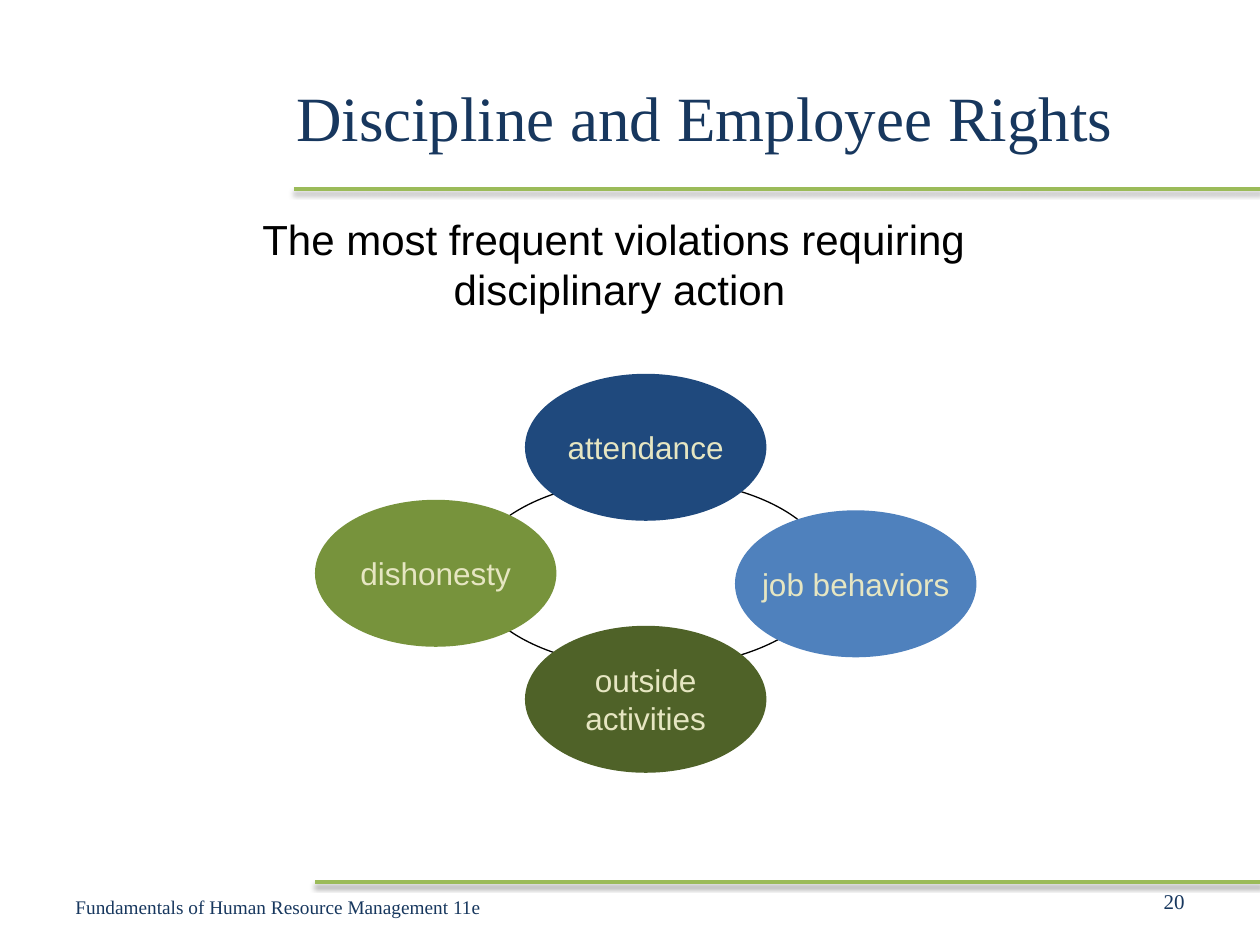
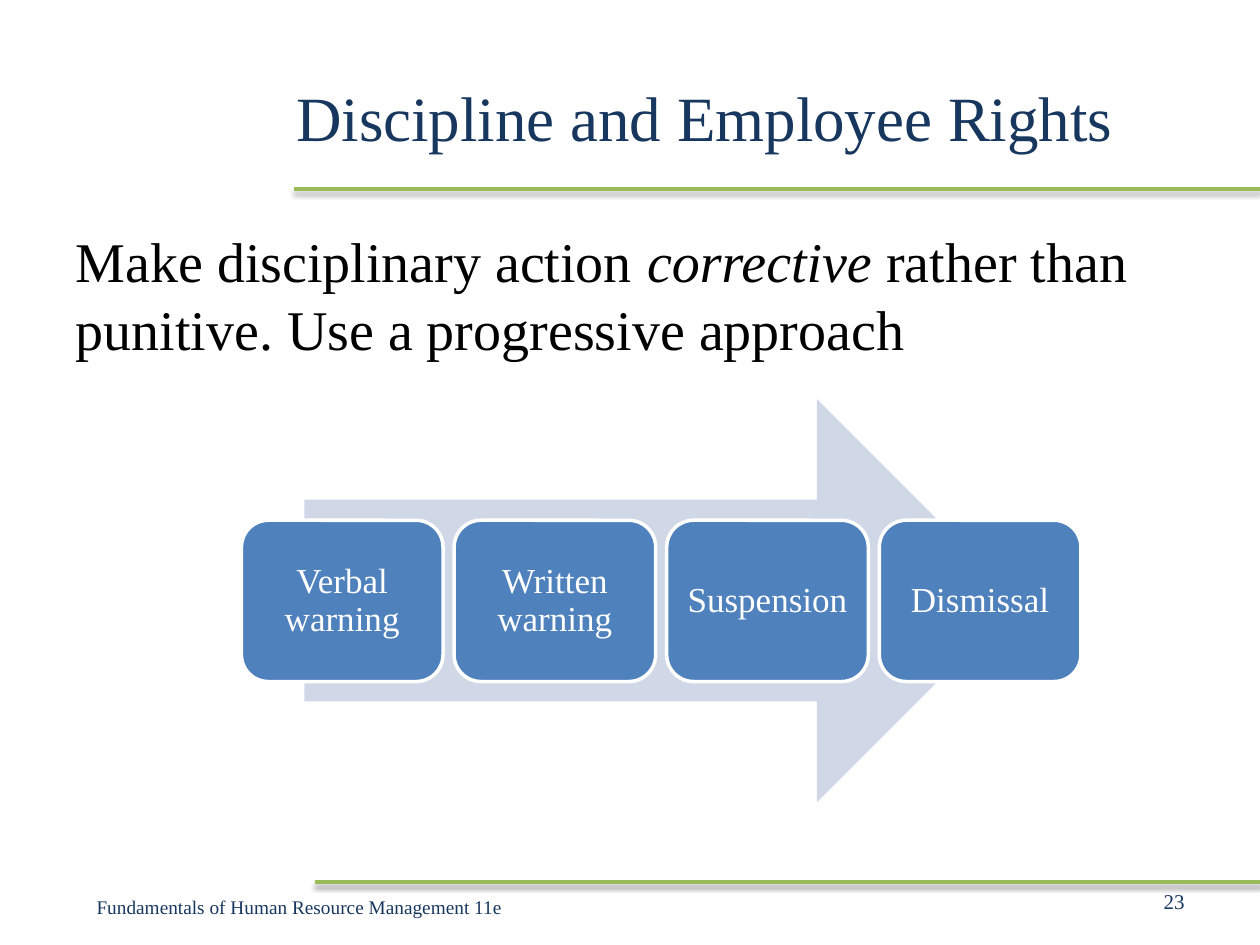
from lxml import etree
from pptx import Presentation
from pptx import util as u
from pptx.dml.color import RGBColor
from pptx.enum import shapes, text
from pptx.oxml import parse_xml
from pptx.oxml.ns import nsdecls, qn

# The slide is a grid of 120 columns by 90 rows.
COLUMNS, ROWS = 120, 90
CELL = u.Inches(10) / COLUMNS

NAVY = RGBColor(0x17, 0x37, 0x5E)
DARK_BLUE = RGBColor(0x1F, 0x49, 0x7D)
BLUE = RGBColor(0x4F, 0x81, 0xBD)
PALE_BLUE = RGBColor(0xD0, 0xD8, 0xE8)
RULE_GREEN = RGBColor(0x9B, 0xBB, 0x59)
GREEN = RGBColor(0x77, 0x93, 0x3C)
DARK_GREEN = RGBColor(0x4F, 0x62, 0x28)
CREAM = RGBColor(0xE6, 0xE6, 0xC2)
BLACK = RGBColor(0, 0, 0)
WHITE = RGBColor(0xFF, 0xFF, 0xFF)

SERIF, SANS = "Times New Roman", "Arial"
LEFT, CENTER, RIGHT = text.PP_ALIGN.LEFT, text.PP_ALIGN.CENTER, text.PP_ALIGN.RIGHT
MIDDLE, TOP = text.MSO_ANCHOR.MIDDLE, text.MSO_ANCHOR.TOP

TITLE = "Discipline and Employee Rights"
FOOTER = "Fundamentals of Human Resource Management 11e"
TITLE_LAYOUT, BODY_LAYOUT = 5, 1

VIOLATIONS = [  # lines, fill, column, row
    (["attendance"], DARK_BLUE, 50, 35.6),
    (["dishonesty"], GREEN, 30, 47.6),
    (["job behaviors"], BLUE, 70, 48.6),
    (["outside", "activities"], DARK_GREEN, 50, 59.6),
]
STEPS = ["Verbal warning", "Written warning", "Suspension", "Dismissal"]


def cells(*counts):
    return [u.Emu(round(count * CELL)) for count in counts]


def write(frame, lines, size, color, font=SERIF, align=LEFT, anchor=MIDDLE, wrap=True):
    """Fill a frame; a line is a list of (words, italic) runs or a plain string."""
    frame.word_wrap = wrap
    frame.auto_size = text.MSO_AUTO_SIZE.NONE
    frame.vertical_anchor = anchor
    for index, line in enumerate(lines):
        paragraph = frame.add_paragraph() if index else frame.paragraphs[0]
        paragraph.alignment = align
        paragraph.space_before = u.Pt(0)
        for words, italic in [(line, False)] if isinstance(line, str) else line:
            run = paragraph.add_run()
            run.text = words
            run.font.name, run.font.size = font, u.Pt(size)
            run.font.italic = italic
            run.font.color.rgb = color


def place(shape, left, top, width, height):
    shape.left, shape.top, shape.width, shape.height = cells(left, top, width, height)


def add_label(slide, box, lines, size, color, **style):
    label = slide.shapes.add_textbox(*cells(*box))
    write(label.text_frame, lines, size, color, **style)


def add_figure(slide, preset, box, fill=None, line=None, weight=0.75):
    figure = slide.shapes.add_shape(preset, *cells(*box))
    figure.shadow.inherit = False
    if fill is None:
        figure.fill.background()
    else:
        figure.fill.solid()
        figure.fill.fore_color.rgb = fill
    if line is None:
        figure.line.fill.background()
    else:
        figure.line.color.rgb = line
        figure.line.width = u.Pt(weight)
    return figure


def add_master_rules(prs, slide):
    """Draw the two shadowed rules and hand them to the slide master."""
    for left, row in ((28, 18), (30, 84)):
        rule = slide.shapes.add_connector(
            shapes.MSO_CONNECTOR.STRAIGHT, *cells(left, row, COLUMNS, row))
        rule.line.color.rgb = RULE_GREEN
        rule.line.width = u.Pt(2)
        rule.element.spPr.append(parse_xml(
            f'<a:effectLst {nsdecls("a")}><a:outerShdw blurRad="40000" dist="20000" '
            'dir="5400000" rotWithShape="0"><a:srgbClr val="000000">'
            '<a:alpha val="38000"/></a:srgbClr></a:outerShdw></a:effectLst>'))
        prs.slide_master.shapes.element.append(rule.element)


def start_slide(prs, layout, number, footer_align):
    slide = prs.slides.add_slide(prs.slide_layouts[layout])
    place(slide.shapes.title, 27, 3.6, 87, 15)
    write(slide.shapes.title.text_frame, [TITLE], 36, NAVY)
    add_label(slide, (86, 83.4, 28, 4.8), [number], 12, NAVY, align=RIGHT)
    add_label(slide, (6, 84, 45, 4.8), [FOOTER], 11, NAVY, align=footer_align)
    return slide


def add_violation_ring(slide):
    add_figure(slide, shapes.MSO_SHAPE.OVAL, (45, 45.6, 34, 18), line=BLACK)
    for lines, fill, column, row in VIOLATIONS:
        violation = add_figure(slide, shapes.MSO_SHAPE.OVAL, (column, row, 23, 14), fill)
        write(violation.text_frame, lines, 18, CREAM, SANS, CENTER, wrap=False)


def add_step_arrow(slide):
    add_figure(slide, shapes.MSO_SHAPE.RIGHT_ARROW, (29, 38, 68, 38.4), PALE_BLUE)
    width, pitch = 19.2, 20.25
    for index, name in enumerate(STEPS):
        step = add_figure(slide, shapes.MSO_SHAPE.ROUNDED_RECTANGLE,
                          (23 + index * pitch, 49.55, width, 15.36), BLUE, WHITE, 2)
        frame = step.text_frame
        frame.margin_left = frame.margin_right = u.Inches(0.04)
        write(frame, [name], 20, WHITE, align=CENTER)
        frame.paragraphs[0].line_spacing = 0.9


def add_advice(slide):
    advice = slide.placeholders[1]
    place(advice, 6, 21, 108, 59.4)
    properties = advice.text_frame.paragraphs[0]._p.get_or_add_pPr()
    properties.set("marL", "0")
    properties.set("indent", "0")
    etree.SubElement(properties, qn("a:buNone"))
    write(advice.text_frame,
          [[("Make disciplinary action ", False), ("corrective", True),
            (" rather than punitive. Use a progressive approach", False)]],
          32, BLACK, anchor=TOP)


def main():
    prs = Presentation()
    prs.slide_width, prs.slide_height = cells(COLUMNS, ROWS)

    violations = start_slide(prs, TITLE_LAYOUT, "20", LEFT)
    add_master_rules(prs, violations)
    add_label(violations, (17, 19.7, 84, 10.8),
              ["The most frequent violations requiring ", "disciplinary action"],
              24, BLACK, font=SANS, align=CENTER, anchor=TOP)
    add_violation_ring(violations)

    progression = start_slide(prs, BODY_LAYOUT, "23", CENTER)
    add_advice(progression)
    add_step_arrow(progression)

    prs.save("out.pptx")


if __name__ == "__main__":
    main()
